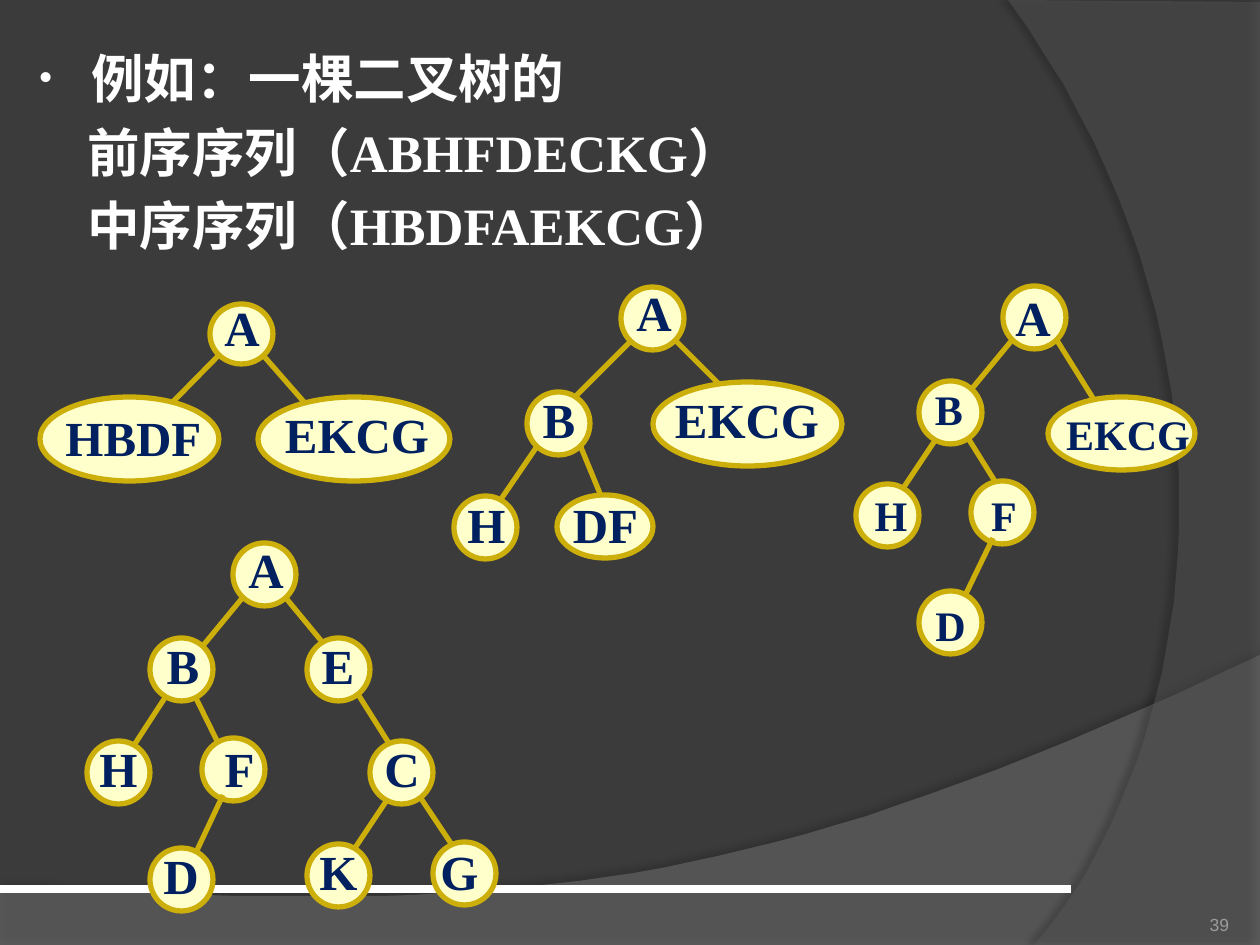
import pptx
import pptx.dml.color
import pptx.enum.shapes
import pptx.enum.text
import pptx.oxml
import pptx.oxml.ns
import pptx.util

EMU_PER_PX = 914400 / 126
WIDTH, HEIGHT = 1260, 945
SERIF = "Times New Roman"
GOLD, CREAM, NAVY, WHITE = "CCAF0A", "FFFFCC", "002060", "FFFFFF"
DISC = 63
NAMESPACE = pptx.oxml.ns.nsdecls("a")

FIRST_SPLIT = [
    ("HBDF", 28, (0, 107, 179, 84), (13, 111, 161), (180, 64, 118, 127)),
    ("EKCG", 28, (218, 107, 192, 84), (232, 108, 170), (222, 64, 278, 128)),
    ("A", 28, (170, 14, DISC, 60), (172, 1, 60), None),
]
SECOND_SPLIT = [
    ("H", 28, (0, 220, DISC, DISC), (1, 212, 63), (84, 169, 41, 232)),
    ("DF", 28, (103, 219, 96, DISC), (104, 212, 95), (126, 169, 147, 220)),
    ("B", 28, (73, 116, DISC, DISC), (76, 107, 58), (179, 63, 116, 126)),
    ("EKCG", 28, (199, 106, 189, 84), (208, 107, 170), (220, 63, 283, 126)),
    ("A", 28, (167, 11, DISC, DISC), (170, 0, 60), None),
]
LEFT_DONE = [
    ("H", 24, (0, 204, DISC, DISC), (6, 203, 58), (84, 153, 42, 216)),
    ("F", 24, (115, 201, DISC, DISC), (122, 203, 52), (102, 142, 155, 227)),
    ("D", 24, (63, 311, DISC, DISC), (66, 313, 57), (137, 258, 105, 324)),
    ("B", 24, (63, 101, DISC, DISC), (66, 97, 54), (157, 59, 105, 122)),
    ("EKCG", 24, (192, 117, 147, 73), (197, 122, 150), (192, 46, 245, 131)),
    ("A", 28, (147, 6, DISC, DISC), (147, 1, 60), None),
]
FULL_TREE = [
    ("H", 28, (1, 208, DISC, DISC), (1, 199, 63), (84, 157, 43, 220)),
    ("F", 28, (116, 205, DISC, DISC), (106, 199, 95), (106, 157, 137, 220)),
    ("D", 28, (64, 315, DISC, DISC), (65, 306, 60), (137, 262, 106, 328)),
    ("B", 28, (64, 105, DISC, DISC), (68, 96, 58), (158, 63, 106, 126)),
    ("K", 28, (221, 311, DISC, DISC), (221, 302, 63), (305, 261, 263, 324)),
    ("G", 28, (347, 309, DISC, DISC), (326, 302, 95), (326, 252, 368, 315)),
    ("C", 28, (284, 208, DISC, DISC), (286, 199, 60), (263, 147, 316, 231)),
    ("E", 28, (221, 105, DISC, DISC), (223, 96, 58), (190, 53, 242, 116)),
    ("A", 28, (147, 10, DISC, DISC), (150, 0, 60), None),
]


def px(length):
    return pptx.util.Emu(round(length * EMU_PER_PX))


def color(value):
    return pptx.dml.color.RGBColor.from_string(value)


def add_run(paragraph, text, size, font, value, bold=False):
    run = paragraph.add_run()
    run.text = text
    run.font.size = pptx.util.Pt(size)
    run.font.name = font
    run.font.bold = bold
    run.font.color.rgb = color(value)


def add_line(shapes, points, value, width):
    connector = shapes.add_connector(
        pptx.enum.shapes.MSO_CONNECTOR.STRAIGHT, *map(px, points))
    connector.line.color.rgb = color(value)
    connector.line.width = pptx.util.Pt(width)
    connector._element.spPr.append(
        pptx.oxml.parse_xml(f"<a:effectLst {NAMESPACE}/>"))


def curve(start, first, second, end, steps=40):
    points = []
    for step in range(1, steps + 1):
        t = step / steps
        weights = ((1 - t) ** 3, 3 * t * (1 - t) ** 2, 3 * t * t * (1 - t), t ** 3)
        points.append(tuple(
            sum(weight * value for weight, value in zip(weights, values))
            for values in zip(start, first, second, end)))
    return points


def add_swoosh(slide, points, value, opacity, shade, distance, angle):
    builder = slide.shapes.build_freeform(*points[0], scale=EMU_PER_PX)
    builder.add_line_segments(points[1:], close=True)
    shape = builder.convert_to_shape()
    shape.fill.solid()
    shape.fill.fore_color.rgb = color(value)
    shape.line.fill.background()
    properties = shape._element.spPr
    properties.find(".//" + pptx.oxml.ns.qn("a:srgbClr")).append(
        pptx.oxml.parse_xml(f'<a:alpha {NAMESPACE} val="{opacity * 1000}"/>'))
    properties.append(pptx.oxml.parse_xml(
        f'<a:effectLst {NAMESPACE}><a:outerShdw blurRad="50800" '
        f'dist="{pptx.util.Pt(distance)}" dir="{angle * 60000}">'
        f'<a:srgbClr val="000000"><a:alpha val="{shade * 1000}"/></a:srgbClr>'
        '</a:outerShdw></a:effectLst>'))


def add_backdrop(slide, width, height):
    slide.background.fill.solid()
    slide.background.fill.fore_color.rgb = color("3B3B3B")
    wave = [(0, 888), (0, height), (width, height), (width, 655)]
    wave += curve((width, 655), (704, 919), (493, 906), (0, 888))
    add_swoosh(slide, wave, "7F7F7F", 45, 35, 3.5, 270)
    side = [(width, 2), (width, height), (1034, height)]
    side += curve((1034, height), (1178, 780), (1283, 378), (1008, 0))
    add_swoosh(slide, side, "5E5E5E", 40, 45, 4, 180)
    add_line(slide.shapes, (0, 889, 1071, 889), WHITE, 4.5)


def add_heading(slide, left, top, width, height):
    frame = slide.shapes.add_textbox(*map(px, (left, top, width, height))).text_frame
    frame.word_wrap = True
    lines = ["例如：一棵二叉树的", "前序序列（ABHFDECKG）", "中序序列（HBDFAEKCG）"]
    for index, text in enumerate(lines):
        paragraph = frame.paragraphs[0] if index == 0 else frame.add_paragraph()
        properties = paragraph._p.get_or_add_pPr()
        if index == 0:
            properties.set("marL", str(px(58)))
            properties.set("indent", str(px(-53)))
            for element in (
                    f'<a:buClr {NAMESPACE}><a:srgbClr val="{WHITE}"/></a:buClr>',
                    f'<a:buSzPct {NAMESPACE} val="80000"/>',
                    f'<a:buFont {NAMESPACE} typeface="{SERIF}"/>',
                    f'<a:buChar {NAMESPACE} char="•"/>'):
                properties.append(pptx.oxml.parse_xml(element))
        else:
            properties.set("marL", str(px(54)))
            properties.set("indent", "0")
            paragraph.space_before = pptx.util.Pt(6)
        add_run(paragraph, text, 30, SERIF, WHITE, True)


def add_node(shapes, label, size, oval, caption):
    shape = shapes.add_shape(
        pptx.enum.shapes.MSO_SHAPE.OVAL, *map(px, oval))
    shape.shadow.inherit = False
    shape.fill.solid()
    shape.fill.fore_color.rgb = color(CREAM)
    shape.line.color.rgb = color(GOLD)
    shape.line.width = pptx.util.Pt(3)
    caption_height = 72 if size == 28 else 63
    frame = shapes.add_textbox(*map(px, (*caption, caption_height))).text_frame
    frame.word_wrap = False
    frame.vertical_anchor = pptx.enum.text.MSO_ANCHOR.MIDDLE
    paragraph = frame.paragraphs[0]
    paragraph.alignment = pptx.enum.text.PP_ALIGN.CENTER
    add_run(paragraph, label, size, SERIF, NAVY, True)


def add_tree(slide, left, top, nodes):
    shapes = slide.shapes.add_group_shape().shapes
    for label, size, (x, y, width, height), (text_x, text_y, text_width), edge in nodes:
        if edge:
            x1, y1, x2, y2 = edge
            add_line(shapes, (left + x1, top + y1, left + x2, top + y2), GOLD, 3)
        add_node(shapes, label, size, (left + x, top + y, width, height),
                 (left + text_x, top + text_y, text_width))


def add_page_number(slide, left, top, width, height):
    frame = slide.shapes.add_textbox(*map(px, (left, top, width, height))).text_frame
    frame.margin_left = frame.margin_right = frame.margin_top = frame.margin_bottom = 0
    frame.word_wrap = True
    frame.vertical_anchor = pptx.enum.text.MSO_ANCHOR.BOTTOM
    paragraph = frame.paragraphs[0]
    paragraph.alignment = pptx.enum.text.PP_ALIGN.RIGHT
    add_run(paragraph, "39", 10, "Arial", "9D9B9A")


def main():
    presentation = pptx.Presentation()
    presentation.slide_width, presentation.slide_height = px(WIDTH), px(HEIGHT)
    slide = presentation.slides.add_slide(presentation.slide_layouts[6])
    add_backdrop(slide, WIDTH, HEIGHT)
    add_heading(slide, 21, 40, 1207, 804)
    add_page_number(slide, 1124, 885, 105, 50)
    add_tree(slide, 40, 290, FIRST_SPLIT)
    add_tree(slide, 454, 276, SECOND_SPLIT)
    add_tree(slide, 856, 280, LEFT_DONE)
    add_tree(slide, 86, 533, FULL_TREE)
    presentation.save("out.pptx")


if __name__ == "__main__":
    main()
